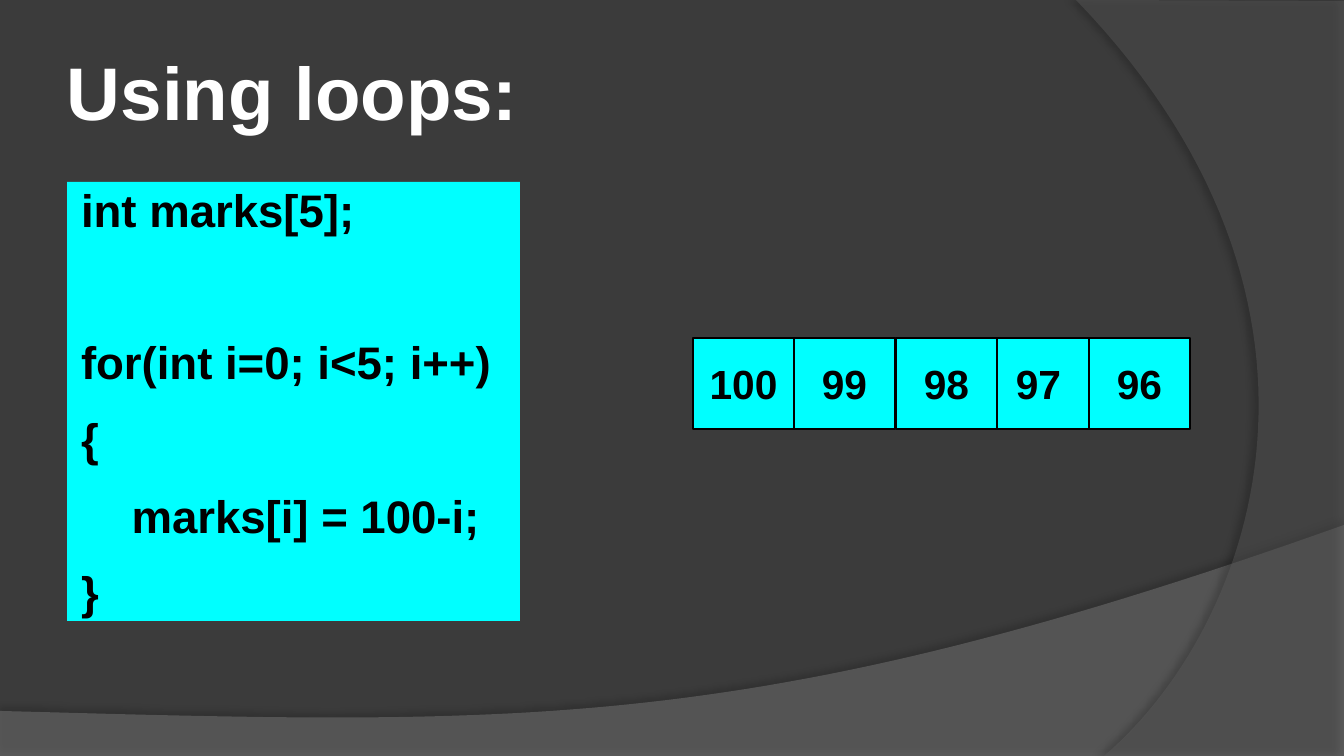
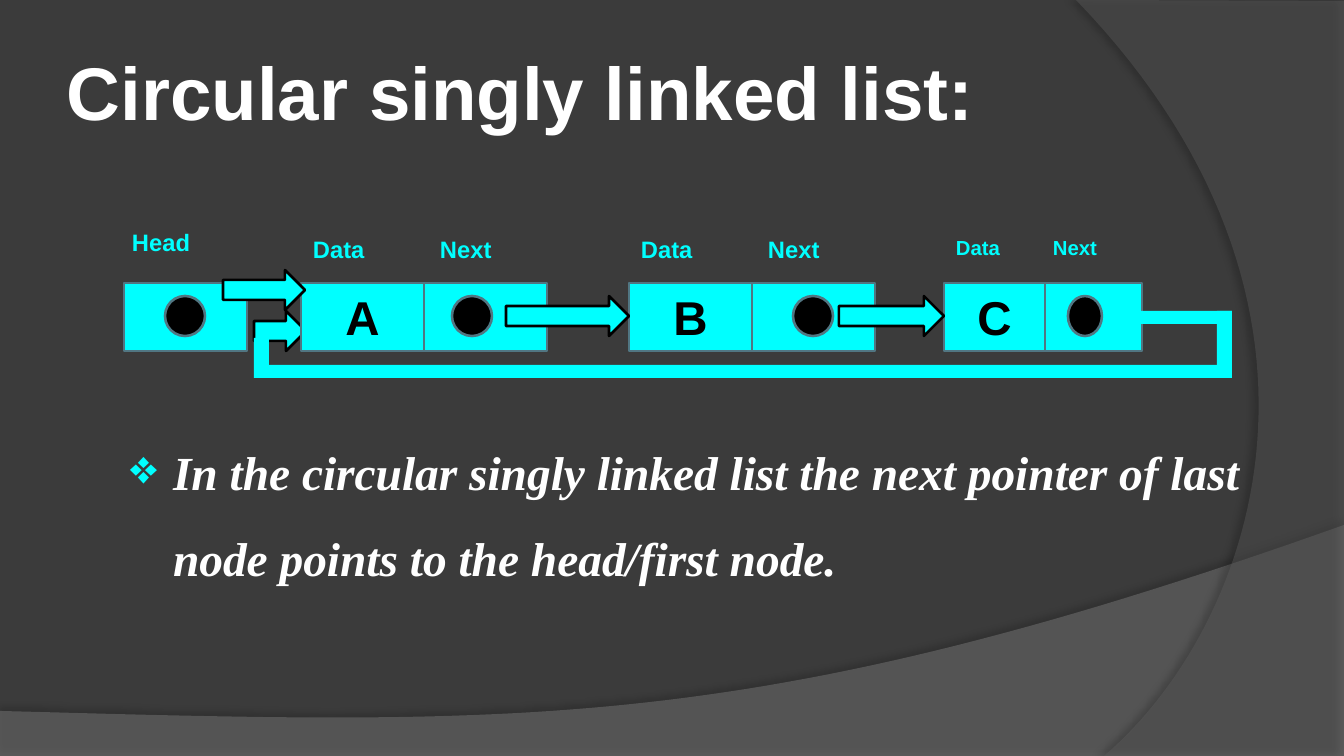
from lxml.etree import SubElement
from pptx import Presentation
from pptx.dml.color import RGBColor
from pptx.enum.shapes import MSO_SHAPE as Geo
from pptx.enum.text import MSO_ANCHOR as Anchor, PP_ALIGN as Align
from pptx.oxml.ns import qn
from pptx.util import Pt

# Shared scale, colours and text formats
EMU_PER_PX = 914400 / 122
WIDTH, HEIGHT = 1344, 756
BACK, WHITE, BLACK = "3B3B3B", "FFFFFF", "000000"
CYAN, EDGE = "00FFFF", "517682"
BOLD = {"name": "Arial", "bold": True}
TITLE = {**BOLD, "size": Pt(44)}
CODE = {**BOLD, "size": Pt(26.9)}
CELL = {**BOLD, "size": Pt(24)}
NODE = {**BOLD, "size": Pt(28)}
BODY = {"name": "Times New Roman", "size": Pt(28), "bold": True, "italic": True}
NO_INSETS = dict.fromkeys(
    ("margin_left", "margin_top", "margin_right", "margin_bottom"), 0)

# Linked list rows
NODE_TOP, NODE_H = 283, 68
DOT = 40
ARROW_H = 40
BAR = 13


def px(n):
    return round(n * EMU_PER_PX)


def rgb(color):
    return RGBColor.from_string(color)


def set_attrs(obj, values):
    for name, value in values.items():
        setattr(obj, name, value)


def write(p, text, fmt, color):
    r = p.add_run()
    r.text = text
    set_attrs(r.font, fmt)
    r.font.color.rgb = rgb(color)


def add_text(s, box, text, fmt, color, **frame):
    tf = s.shapes.add_textbox(*map(px, box)).text_frame
    set_attrs(tf, {"word_wrap": True, **frame})
    p = tf.paragraphs[0]
    write(p, text, fmt, color)
    return p


def add_block(s, geo, box, fill=CYAN, line=None, text="", fmt=NODE):
    sp = s.shapes.add_shape(geo, *map(px, box))
    sp.shadow.inherit = False
    sp.fill.solid()
    sp.fill.fore_color.rgb = rgb(fill)
    if line:
        sp.line.color.rgb = rgb(line)
        sp.line.width = Pt(1.5)
    else:
        sp.line.fill.background()
    if text:
        tf = sp.text_frame
        set_attrs(tf, {"vertical_anchor": Anchor.MIDDLE, **NO_INSETS})
        p = tf.paragraphs[0]
        p.alignment = Align.CENTER
        write(p, text, fmt, BLACK)
    return sp


def set_indent(p, left, first):
    pPr = p._p.get_or_add_pPr()
    pPr.set("marL", str(px(left)))
    pPr.set("indent", str(px(first)))
    return pPr


def curve(a, b, c, d, steps=60):
    """Points on a cubic curve after its start point."""
    for i in range(1, steps + 1):
        t = i / steps
        u = 1 - t
        yield tuple(u**3 * k + 3 * u * u * t * m + 3 * u * t * t * n + t**3 * q
                    for k, m, n, q in zip(a, b, c, d))


def add_band(s, points, color, alpha, shadow_alpha, distance, angle):
    start, *rest = [(px(x), px(y)) for x, y in points]
    builder = s.shapes.build_freeform(*start)
    builder.add_line_segments(rest, close=True)
    sp = builder.convert_to_shape()
    sp.fill.solid()
    sp.fill.fore_color.rgb = rgb(color)
    sp.line.fill.background()
    sp.shadow.inherit = False
    spPr = sp._element.spPr
    tint = spPr.find(qn("a:solidFill"))[0]
    SubElement(tint, qn("a:alpha"), val=str(alpha * 1000))
    # Soft shadow along the curved edge
    shadow = SubElement(spPr.find(qn("a:effectLst")), qn("a:outerShdw"),
                        blurRad=str(Pt(4)), dist=str(Pt(distance)),
                        dir=str(angle * 60000), algn="ctr", rotWithShape="0")
    shade = SubElement(shadow, qn("a:srgbClr"), val=BLACK)
    SubElement(shade, qn("a:alpha"), val=str(shadow_alpha * 1000))


def add_slide(prs, title):
    s = prs.slides.add_slide(prs.slide_layouts[6])
    s.background.fill.solid()
    s.background.fill.fore_color.rgb = rgb(BACK)
    # Bottom sweep, then right sweep
    bottom = [(0, 711), (0, HEIGHT), (WIDTH, HEIGHT), (WIDTH, 525)]
    bottom += curve(bottom[-1], (752, 736), (526, 725), (0, 711))
    add_band(s, bottom, "7F7F7F", 45, 35, 3.5, 270)
    right = [(WIDTH, 1), (WIDTH, HEIGHT), (1104, HEIGHT)]
    right += curve(right[-1], (1257, 625), (1369, 303), (1076, 0))
    add_band(s, right, "5E5E5E", 40, 45, 4, 180)
    add_text(s, (67, 29, 1100, 124), title, TITLE, WHITE,
             vertical_anchor=Anchor.MIDDLE, **NO_INSETS)
    return s


def add_code(s, box, lines):
    tf = add_block(s, Geo.RECTANGLE, box).text_frame
    set_attrs(tf, {"vertical_anchor": Anchor.TOP, "word_wrap": True, **NO_INSETS})
    for i, (line, after) in enumerate(lines):
        p = tf.add_paragraph() if i else tf.paragraphs[0]
        p.alignment = Align.LEFT
        p.space_after = Pt(after)
        set_indent(p, 57, -43)
        write(p, line, CODE, BLACK)


def add_label(s, x, y, text, size):
    add_text(s, (x, y, 110, 50), text, {**BOLD, "size": Pt(size)}, CYAN)


def add_dot(s, center, width=DOT):
    box = (center - width / 2, 296, width, DOT)
    add_block(s, Geo.OVAL, box, BLACK, EDGE)


def add_arrow(s, left, right, top=296):
    box = (left, top, right - left, ARROW_H)
    add_block(s, Geo.RIGHT_ARROW, box, line=BLACK)


def add_field(s, x, width, text=""):
    box = (x, NODE_TOP, width, NODE_H)
    add_block(s, Geo.RECTANGLE, box, line=EDGE, text=text)


def add_node(s, x, width, step, letter, dot, dot_width, label_size):
    """A data field and a next field with their labels."""
    add_field(s, x + step, width)
    add_field(s, x, width, letter)
    add_dot(s, dot, dot_width)
    add_label(s, x, 229, "Data", label_size)
    add_label(s, x + step + 4 if step == width else x + step, 229,
              "Next", label_size)


def add_bullet(s, box, text):
    p = add_text(s, box, text, BODY, WHITE)
    pPr = set_indent(p, 57, -43)
    p.line_spacing = 1.5
    SubElement(SubElement(pPr, qn("a:buClr")), qn("a:srgbClr"), val=CYAN)
    SubElement(pPr, qn("a:buChar"), char="❖")


def build_loops(prs):
    s = add_slide(prs, "Using loops:")
    add_code(s, (67, 182, 453, 439), [
        ("int marks[5];", 57.5),
        ("for(int i=0; i<5; i++)", 13),
        ("{", 13),
        ("    marks[i] = 100-i;", 13),
        ("}", 0),
    ])
    # Array cells, the first one in front
    cells = [(1089, "96"), (988, "97"), (896, "98"), (794, "99"), (693, "100")]
    for x, mark in cells:
        add_block(s, Geo.RECTANGLE, (x, 338, 101, 91), line=BLACK,
                  text=mark, fmt=CELL)


def build_circular_list(prs):
    s = add_slide(prs, "Circular singly linked list:")
    # Return arrow sits behind the first node
    add_arrow(s, 254, 306, 311)
    # Head pointer
    add_field(s, 124, 123)
    add_dot(s, 185)
    add_label(s, 120, 222, "Head", 14)
    # Nodes
    for node in [(301, 123, 123, "A", 472, DOT, 14),
                 (629, 123, 123, "B", 813, DOT, 14),
                 (944, 101, 97, "C", 1085, 34, 12)]:
        add_node(s, *node)
    # Pointers between nodes
    add_arrow(s, 223, 305, 270)
    add_arrow(s, 506, 629)
    add_arrow(s, 839, 944)
    # Return path from the last node to the first
    for bar in [(1127, 311, 105, BAR), (268, 365, 964, BAR),
                (1217, 311, 15, 67), (254, 338, 15, 40)]:
        add_block(s, Geo.RECTANGLE, bar)
    add_bullet(s, (104, 409, 1190, 174),
               "In the circular singly linked list the next pointer of last "
               "node points to the head/first node.")


def main():
    prs = Presentation()
    prs.slide_width, prs.slide_height = px(WIDTH), px(HEIGHT)
    build_loops(prs)
    build_circular_list(prs)
    prs.save("out.pptx")


if __name__ == "__main__":
    main()
